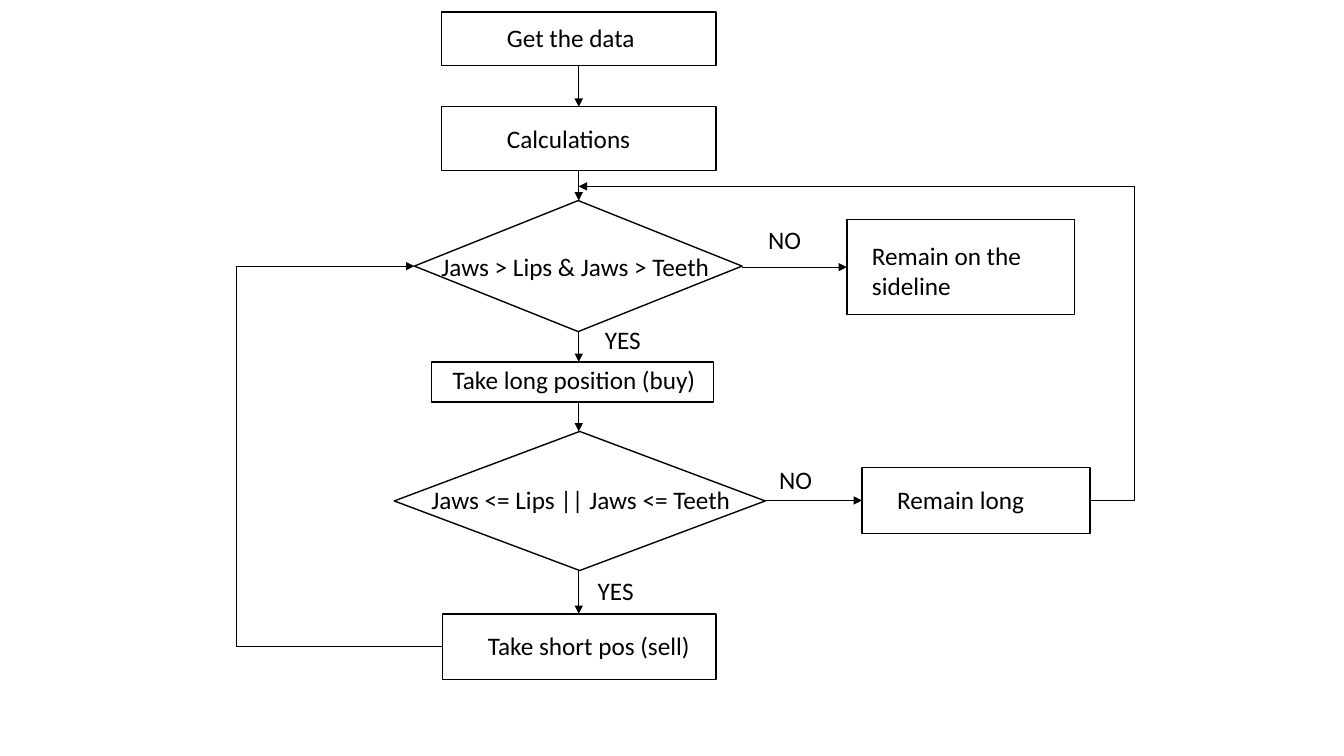
"""Build the flowchart slide of a long and short trading rule."""
from dataclasses import dataclass

import lxml.etree
import pptx
import pptx.dml.color
import pptx.enum.shapes
import pptx.enum.text
import pptx.oxml.ns
import pptx.slide
import pptx.util

BLACK = pptx.dml.color.RGBColor(0, 0, 0)
ROWS = 75
RECTANGLE = pptx.enum.shapes.MSO_SHAPE.RECTANGLE
DIAMOND = pptx.enum.shapes.MSO_SHAPE.DIAMOND
STRAIGHT = pptx.enum.shapes.MSO_CONNECTOR.STRAIGHT
ELBOW = pptx.enum.shapes.MSO_CONNECTOR.ELBOW

deck = pptx.Presentation()
deck.slide_width = pptx.util.Inches(13.33)
deck.slide_height = pptx.util.Inches(7.5)
CELL = deck.slide_height / ROWS


@dataclass(frozen=True)
class Label:
    """Text with its place in grid cells."""
    text: str
    left: float
    top: float
    width: float
    height: float = 4.0


@dataclass(frozen=True)
class Step:
    """Outlined flowchart step in grid cells, with its label."""
    kind: pptx.enum.shapes.MSO_SHAPE
    left: float
    top: float
    width: float
    height: float
    label: Label

    @property
    def right(self) -> float:
        """Return the right edge."""
        return self.left + self.width

    @property
    def bottom(self) -> float:
        """Return the bottom edge."""
        return self.top + self.height

    @property
    def middle(self) -> float:
        """Return the row halfway down."""
        return self.top + self.height / 2


def cells(*counts: float) -> list[int]:
    """Convert grid cells to slide lengths."""
    return [round(count * CELL) for count in counts]


def draw_label(page: pptx.slide.Slide, label: Label) -> None:
    """Draw a label as a text box."""
    box = page.shapes.add_textbox(*cells(label.left, label.top, label.width, label.height))
    frame = box.text_frame
    frame.word_wrap = True
    frame.auto_size = pptx.enum.text.MSO_AUTO_SIZE.SHAPE_TO_FIT_TEXT
    frame.text = label.text
    font = frame.paragraphs[0].font
    font.name = "Calibri"
    font.size = pptx.util.Pt(18)
    font.color.rgb = BLACK


def draw_step(page: pptx.slide.Slide, step: Step) -> None:
    """Draw a step outline and its label."""
    outline = page.shapes.add_shape(
        step.kind, *cells(step.left, step.top, step.width, step.height))
    outline.shadow.inherit = False
    outline.fill.background()
    outline.line.color.rgb = BLACK
    outline.line.width = pptx.util.Pt(1)
    draw_label(page, step.label)


def draw_arrow(page: pptx.slide.Slide, start: tuple[float, float],
               end: tuple[float, float], lane: float | None = None) -> None:
    """Draw an arrow, bent through a vertical lane when one is given."""
    kind = STRAIGHT if lane is None else ELBOW
    arrow = page.shapes.add_connector(kind, *cells(*start, *end))
    arrow.line.color.rgb = BLACK
    arrow.line.width = pptx.util.Pt(0.5)
    qualify = pptx.oxml.ns.qn
    properties = arrow._element.spPr
    lxml.etree.SubElement(arrow.line._get_or_add_ln(), qualify("a:tailEnd"), type="triangle")
    lxml.etree.SubElement(properties, qualify("a:effectLst"))
    if lane is not None:
        bend = round(100000 * (lane - start[0]) / (end[0] - start[0]))
        guides = properties.find(qualify("a:prstGeom")).get_or_add_avLst()
        lxml.etree.SubElement(guides, qualify("a:gd"), name="adj1", fmla=f"val {bend}")


SPINE = 57.4
LEFT_LANE, RIGHT_LANE = 23.4, 112.5
RETURN_ROW = 18.5

get_data = Step(RECTANGLE, 43.8, 1.2, 27.2, 5.3, Label("Get the data", 49.3, 1.7, 23.2))
calculate = Step(RECTANGLE, 43.8, 10.6, 27.2, 6.3, Label("Calculations", 49.3, 11.7, 22.8))
buy_test = Step(DIAMOND, 41.1, 19.9, 32.5, 13,
                Label("Jaws > Lips & Jaws > Teeth", 42.8, 24.4, 36.1))
buy = Step(RECTANGLE, 42.8, 35.9, 28, 4, Label("Take long position (buy)", 43.9, 35.7, 27.1))
sell_test = Step(DIAMOND, 39.1, 42.8, 36.8, 13.8,
                 Label("Jaws <= Lips || Jaws <= Teeth", 41.8, 47.6, 37.8))
sell = Step(RECTANGLE, 43.9, 60.9, 27.1, 6.5, Label("Take short pos (sell)", 47.4, 62, 26.2))
sideline = Step(RECTANGLE, 84, 21.8, 22.6, 9.4,
                Label("Remain on the sideline", 85.5, 23.3, 19.6, 7.1))
stay_long = Step(RECTANGLE, 85.5, 46.4, 22.6, 6.5, Label("Remain long", 88, 47.6, 17.2))

main_flow = [get_data, calculate, buy_test, buy, sell_test, sell]
branches = [(buy_test, sideline), (sell_test, stay_long)]
answers = [
    Label("NO", 75.2, 21.8, 6.5),
    Label("YES", 59, 31.7, 10.3),
    Label("NO", 76.3, 45.6, 8.8),
    Label("YES", 58.3, 56.6, 10.7),
]

page = deck.slides.add_slide(deck.slide_layouts[6])
for step in [*main_flow, sideline, stay_long]:
    draw_step(page, step)
for upper, lower in zip(main_flow, main_flow[1:]):
    draw_arrow(page, (SPINE, upper.bottom), (SPINE, lower.top))
for test, outcome in branches:
    draw_arrow(page, (test.right, outcome.middle), (outcome.left, outcome.middle))
draw_arrow(page, (sell.left, sell.middle), (buy_test.left, buy_test.middle), LEFT_LANE)
draw_arrow(page, (stay_long.right, stay_long.middle), (SPINE, RETURN_ROW), RIGHT_LANE)
for answer in answers:
    draw_label(page, answer)

deck.save("out.pptx")
